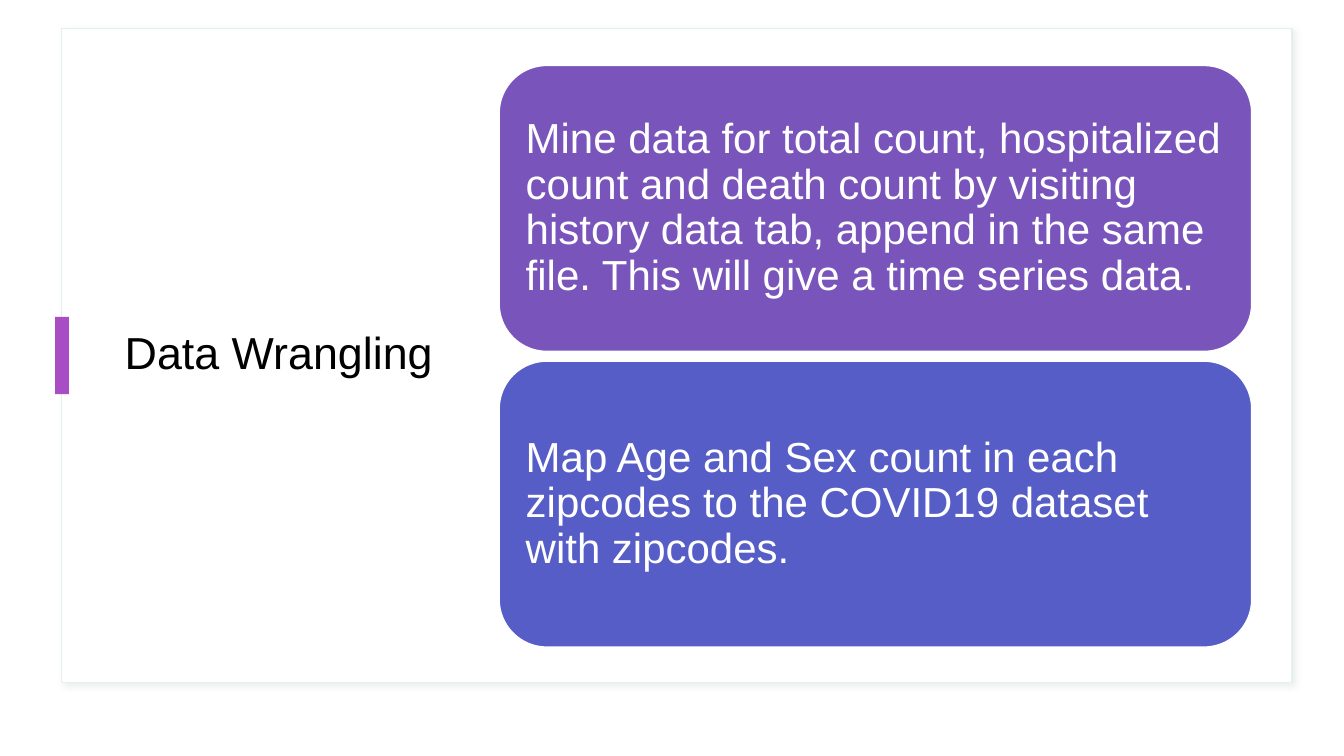
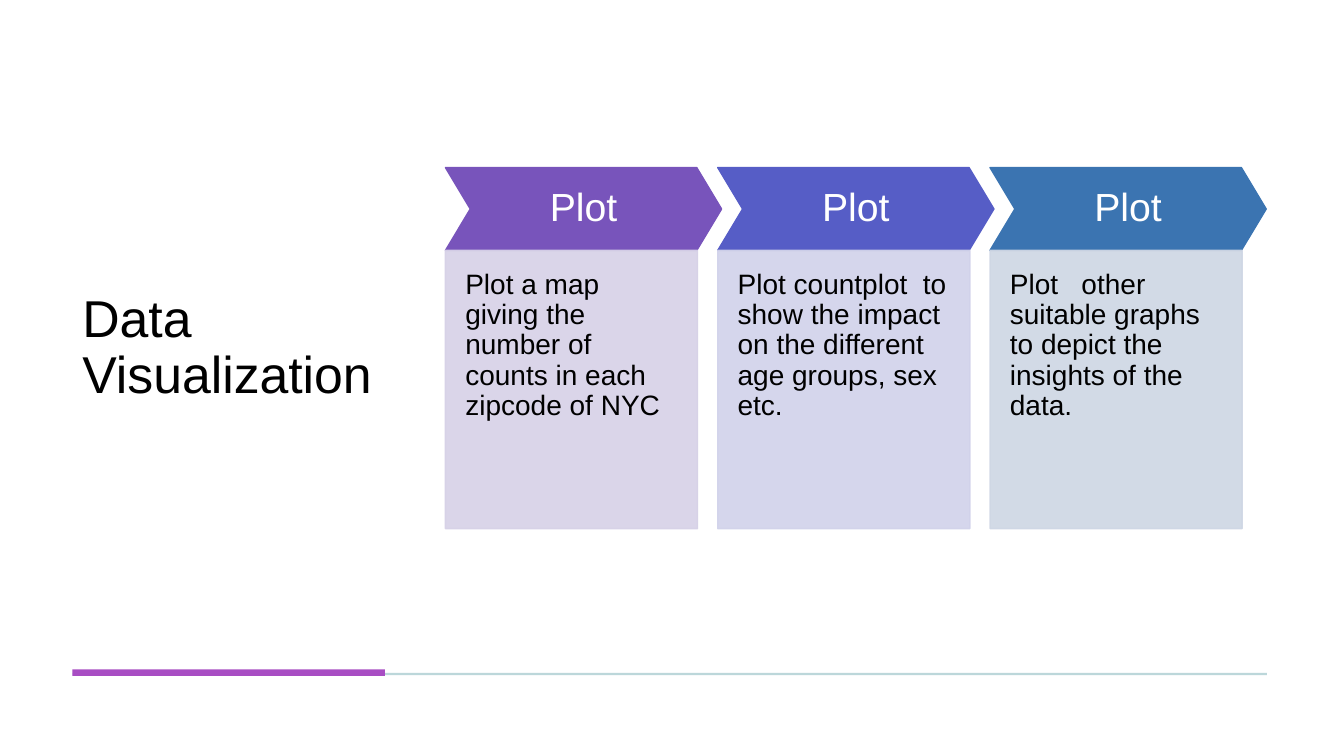
import dataclasses

import lxml.etree
import pptx
import pptx.dml.color
import pptx.enum.shapes
import pptx.enum.text
import pptx.oxml.ns
import pptx.util

Pt = pptx.util.Pt
RGB = pptx.dml.color.RGBColor.from_string
SHAPE = pptx.enum.shapes.MSO_SHAPE
ALIGN = pptx.enum.text.PP_ALIGN
ANCHOR = pptx.enum.text.MSO_ANCHOR
qn = pptx.oxml.ns.qn


@dataclasses.dataclass(frozen=True)
class Theme:
    font: str = "Arial"
    white: str = "FFFFFF"
    black: str = "000000"
    accent: str = "A84DC3"
    frame_line: str = "E4EFF0"
    frame_shadow: str = "BECABC"
    rule: str = "BCD7DA"
    steps: tuple = ("7854BB", "565DC6", "3B74B1")
    tints: tuple = ("D6D1E7", "D1D2EA", "CED6E4")
    wrangling_title: int = 32
    visualization_title: int = 37
    card_size: int = 30
    step_size: int = 28
    detail_size: int = 20


theme = Theme()


def add_block(slide, kind, box, fill, line=None):
    block = slide.shapes.add_shape(kind, *[Pt(length) for length in box])
    block.shadow.inherit = False
    block.fill.solid()
    block.fill.fore_color.rgb = RGB(fill)
    if line:
        block.line.color.rgb = RGB(line)
        block.line.width = Pt(1)
    else:
        block.line.fill.background()
    return block


def write(shape, text, size, color, insets, align=ALIGN.LEFT, anchor=ANCHOR.MIDDLE):
    frame = shape.text_frame
    frame.text = text
    frame.word_wrap = True
    frame.vertical_anchor = anchor
    (frame.margin_left, frame.margin_top,
     frame.margin_right, frame.margin_bottom) = [Pt(inset) for inset in insets]
    paragraph = frame.paragraphs[0]
    paragraph.alignment = align
    paragraph.line_spacing = 0.9
    font = paragraph.runs[0].font
    font.name = theme.font
    font.size = Pt(size)
    font.color.rgb = RGB(color)


deck = pptx.Presentation()
deck.slide_width, deck.slide_height = Pt(960), Pt(540)
blank = deck.slide_layouts[6]
wrangling = deck.slides.add_slide(blank)
visualization = deck.slides.add_slide(blank)

# Titles of both slides
for slide, text, size, box in (
    (wrangling, "Data Wrangling", theme.wrangling_title, (82, 39.6, 235.5, 428.4)),
    (visualization, "Data Visualization", theme.visualization_title, (51.8, 33.8, 223.2, 430)),
):
    # The frame lies behind the first title
    if slide is wrangling:
        page_frame = add_block(slide, SHAPE.RECTANGLE, (44, 20.2, 879, 467.3),
                               theme.white, theme.frame_line)
        effects = page_frame._element.spPr.find(qn("a:effectLst"))
        shadow = lxml.etree.SubElement(effects, qn("a:outerShdw"), blurRad=str(Pt(4)),
                                       dist=str(Pt(3)), dir="2700000")
        shadow_color = lxml.etree.SubElement(shadow, qn("a:srgbClr"), val=theme.frame_shadow)
        lxml.etree.SubElement(shadow_color, qn("a:alpha"), val="30000")
    title = slide.shapes.add_textbox(*[Pt(length) for length in box])
    write(title, text, size, theme.black, (7.2, 3.6, 7.2, 3.6))

# Data Wrangling: accent mark and stacked cards
add_block(wrangling, SHAPE.RECTANGLE, (39.3, 226.4, 10, 55.2), theme.accent)
tasks = (
    "Mine data for total count, hospitalized count and death count by visiting history "
    "data tab, append in the same file. This will give a time series data.",
    "Map Age and Sex count in each zipcodes to the COVID19 dataset with zipcodes.",
)
for row, (task, color) in enumerate(zip(tasks, theme.steps)):
    card = add_block(wrangling, SHAPE.ROUNDED_RECTANGLE,
                     (356.6, 46.8 + row * 211.2, 537.5, 204.2), color, theme.white)
    write(card, task, theme.card_size, theme.white, (9, 9, 9, 9))

# Data Visualization: footer rule with accent
add_block(visualization, SHAPE.RECTANGLE, (51.8, 480.7, 853.2, 1.6), theme.rule)
add_block(visualization, SHAPE.RECTANGLE, (51.8, 478.2, 223.2, 4.5), theme.accent)

# Data Visualization: chevrons above tinted details
details = (
    "Plot a map giving the number of counts in each zipcode of NYC",
    "Plot countplot  to show the impact on the different age groups, sex etc.",
    "Plot   other suitable graphs to depict the insights of the data.",
)
for column, (detail, color, tint) in enumerate(zip(details, theme.steps, theme.tints)):
    left = 318.2 + column * 194.5
    chevron = add_block(visualization, SHAPE.CHEVRON, (left, 119.7, 197.3, 59.2), color, color)
    chevron.adjustments[0] = 0.3
    write(chevron, "Plot", theme.step_size, theme.white, (7, 7, 7, 7), ALIGN.CENTER)

    panel = add_block(visualization, SHAPE.RECTANGLE, (left, 178.9, 180.1, 198.7), tint, tint)
    for tint_color in panel._element.spPr.iter(qn("a:srgbClr")):
        lxml.etree.SubElement(tint_color, qn("a:alpha"), val="90000")
    write(panel, detail, theme.detail_size, theme.black, (14.2, 14.2, 14.2, 28.4),
          anchor=ANCHOR.TOP)

deck.save("out.pptx")
